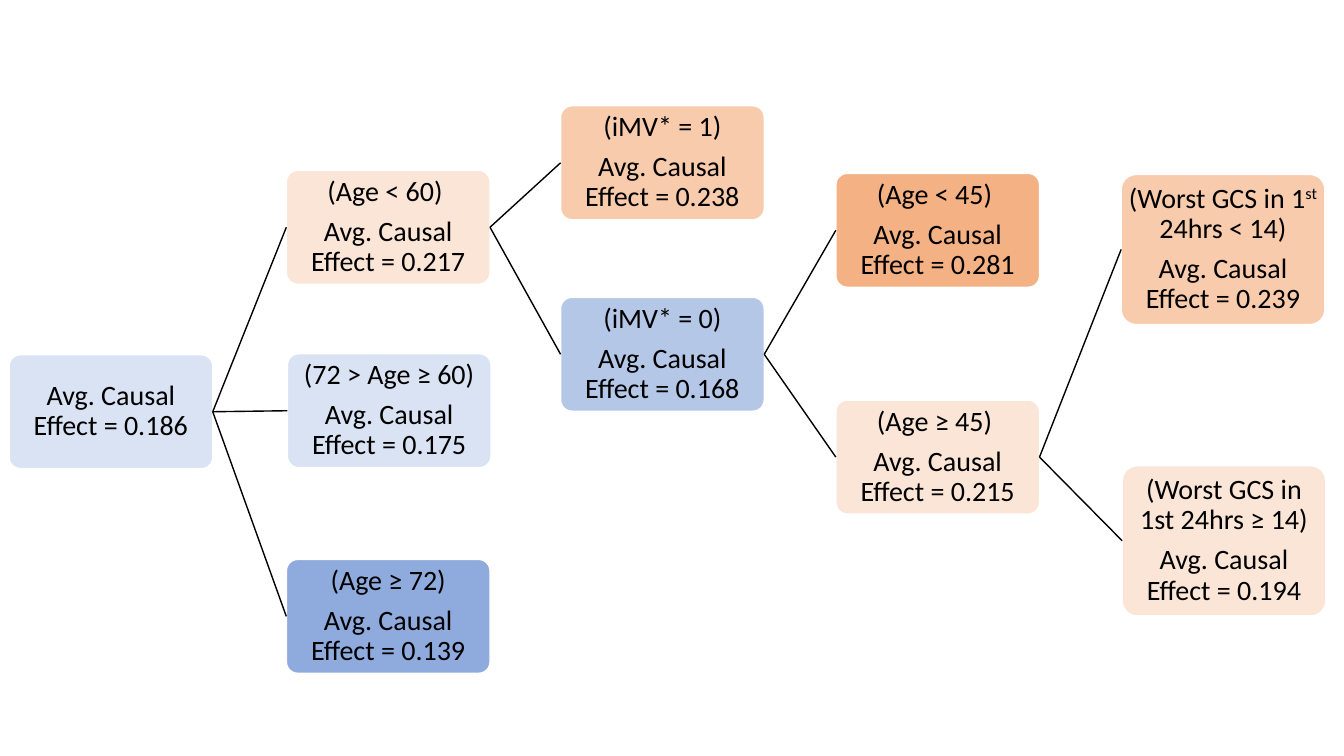
import pptx
import pptx.dml.color
import pptx.enum.shapes
import pptx.enum.text
import pptx.oxml.ns
import pptx.util
from lxml import etree

Inches = pptx.util.Inches
Pt = pptx.util.Pt

COLORS = {
    "line": "000000",
    "text": "000000",
    "border": "FFFFFF",
    "blue_light": "DAE3F3",
    "blue_mid": "B4C7E7",
    "blue_deep": "8FAADC",
    "orange_pale": "FBE5D6",
    "orange_light": "F8CBAD",
    "orange_deep": "F4B183",
}
FONT = "Calibri"
NODE_WIDTH = 2.02
SHORT, TALL = 1.13, 1.49
LEFT_SITE, RIGHT_SITE = 1, 3

# key: (parent, left, top, height, color, condition runs, effect)
TREE = {
    "all": (None, 0.09, 3.52, SHORT, "blue_light", [], "0.186"),
    "under_60": ("all", 2.84, 1.69, SHORT, "orange_pale", ["(Age < 60) "], "0.217"),
    "imv_yes": ("under_60", 5.56, 1.05, SHORT, "orange_light", ["(iMV* = 1)"], "0.238"),
    "imv_no": ("under_60", 5.56, 2.95, SHORT, "blue_mid", ["(iMV* = 0)"], "0.168"),
    "under_45": ("imv_no", 8.29, 1.72, SHORT, "orange_deep", ["(Age < 45) "], "0.281"),
    "from_45": ("imv_no", 8.29, 3.97, SHORT, "orange_pale", ["(Age ≥ 45) "], "0.215"),
    "gcs_low": ("from_45", 11.12, 1.73, TALL, "orange_light",
                ["(Worst GCS in 1", "st", " 24hrs < 14)"], "0.239"),
    "gcs_high": ("from_45", 11.13, 4.62, TALL, "orange_pale",
                 ["(Worst GCS in 1st 24hrs ≥ 14)"], "0.194"),
    "from_60_to_72": ("all", 2.85, 3.51, SHORT, "blue_light", ["(72 > Age ≥ 60)"], "0.175"),
    "from_72": ("all", 2.84, 5.55, SHORT, "blue_deep", ["(Age ≥ 72)"], "0.139"),
}


def rgb(name):
    """Return the named colour."""
    return pptx.dml.color.RGBColor.from_string(COLORS[name])


def write_paragraph(paragraph, texts):
    """Write centred runs, raising the ordinal suffix."""
    paragraph.alignment = pptx.enum.text.PP_ALIGN.CENTER
    paragraph.line_spacing = 0.9
    paragraph.space_after = Pt(7)
    for text in texts:
        run = paragraph.add_run()
        run.text = text
        run.font.name = FONT
        run.font.size = Pt(20)
        run.font.color.rgb = rgb("text")
        if text == "st":
            run.font._element.set("baseline", "30000")


def add_node(slide, left, top, height, color, condition, effect):
    """Draw one subgroup with its condition and average effect."""
    node = slide.shapes.add_shape(
        pptx.enum.shapes.MSO_SHAPE.ROUNDED_RECTANGLE,
        Inches(left), Inches(top), Inches(NODE_WIDTH), Inches(height))
    node.adjustments[0] = 0.1
    node.shadow.inherit = False
    node.fill.solid()
    node.fill.fore_color.rgb = rgb(color)
    node.line.color.rgb = rgb("border")
    node.line.width = Pt(1)
    frame = node.text_frame
    frame.word_wrap = True
    frame.vertical_anchor = pptx.enum.text.MSO_ANCHOR.MIDDLE
    frame.margin_left = frame.margin_right = Inches(0.01)
    frame.margin_top = frame.margin_bottom = Inches(0.01)
    label = frame.paragraphs[0]
    if condition:
        write_paragraph(label, condition)
        label = frame.add_paragraph()
    write_paragraph(label, [f"Avg. Causal Effect = {effect}"])
    return node


def add_branch(slide, parent, child):
    """Join a parent's right side to a child's left side."""
    branch = slide.shapes.add_connector(
        pptx.enum.shapes.MSO_CONNECTOR.STRAIGHT, 0, 0, 0, 0)
    branch.begin_connect(parent, RIGHT_SITE)
    branch.end_connect(child, LEFT_SITE)
    branch.line.color.rgb = rgb("line")
    branch.line.width = Pt(1)
    etree.SubElement(branch._element.spPr, pptx.oxml.ns.qn("a:effectLst"))


def add_tree(slide):
    """Draw every subgroup and the branch that leads to it."""
    nodes = {}
    for key, (parent, *node_parts) in TREE.items():
        nodes[key] = add_node(slide, *node_parts)
        if parent:
            add_branch(slide, nodes[parent], nodes[key])


def main():
    """Build and save the causal tree slide."""
    deck = pptx.Presentation()
    deck.slide_width = Inches(13.33)
    deck.slide_height = Inches(7.5)
    add_tree(deck.slides.add_slide(deck.slide_layouts[6]))
    deck.save("out.pptx")


if __name__ == "__main__":
    main()
